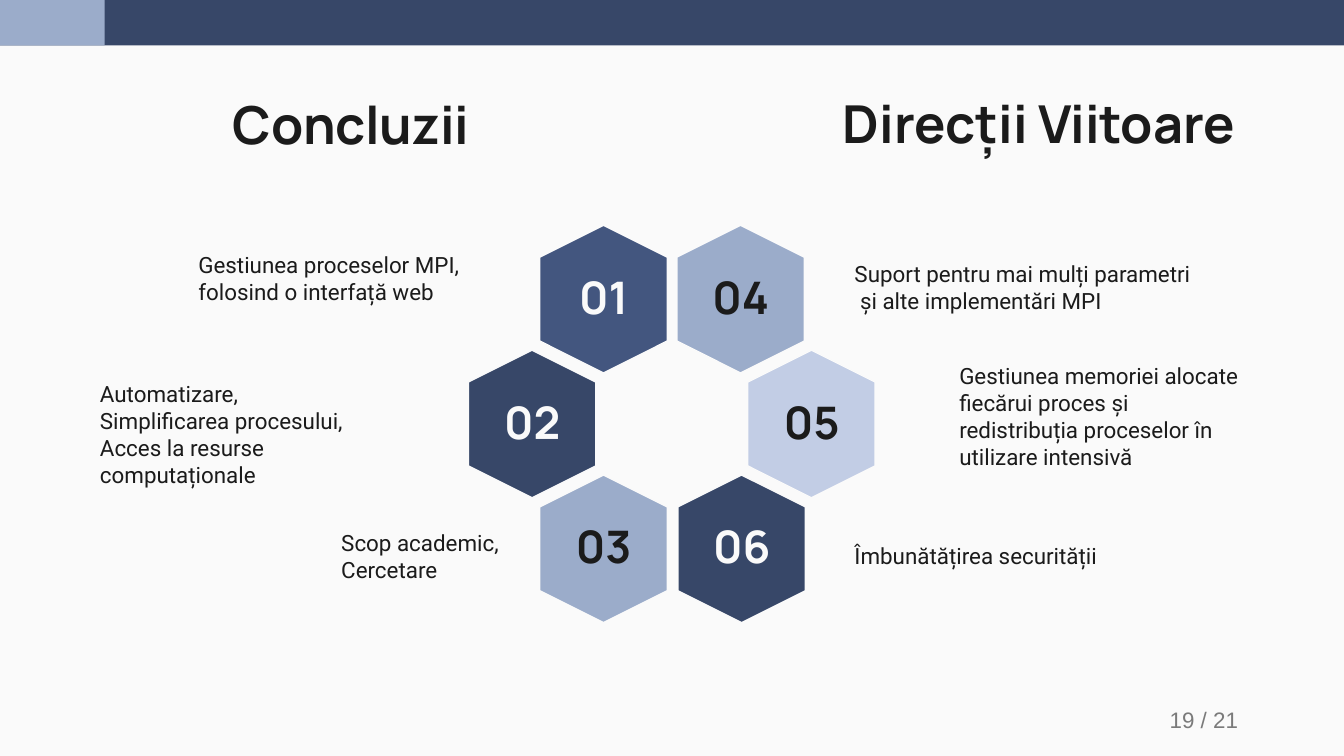
from pptx import Presentation
from pptx.dml.color import RGBColor
from pptx.enum.shapes import MSO_SHAPE as Preset
from pptx.enum.text import MSO_ANCHOR as Anchor, PP_ALIGN as Align
from pptx.util import Cm, Pt

PAPER = RGBColor(0xFA, 0xFA, 0xFA)
INK = RGBColor(0x1B, 0x1B, 0x1B)
GRAY = RGBColor(0x7A, 0x7A, 0x7A)
NAVY = RGBColor(0x37, 0x47, 0x68)
BLUE = RGBColor(0x43, 0x56, 0x7F)
STEEL = RGBColor(0x9B, 0xAC, 0xCA)
PALE = RGBColor(0xC2, 0xCD, 0xE5)

SLIDE_WIDTH, SLIDE_HEIGHT = 25.4, 14.29
BAR_HEIGHT = 0.86
HEXAGON_WIDTH, HEXAGON_HEIGHT = 2.79, 2.41
RING_TOP, RING_STEP = 4.45, 2.36

HEXAGONS = [
    ("01", 10.01, 0, BLUE, PAPER),
    ("02", 8.66, 1, NAVY, PAPER),
    ("03", 10.01, 2, STEEL, INK),
    ("04", 12.6, 0, STEEL, INK),
    ("05", 13.94, 1, PALE, INK),
    ("06", 12.62, 2, NAVY, PAPER),
]

TITLES = [("Concluzii ", 2.01, 1.5), ("Direcții Viitoare ", 15.01, 1.47)]

NOTES = [
    ("Gestiunea proceselor MPI,\nfolosind o interfață web", 3.5, 4.5, 6.5, 1.6),
    ("Automatizare, \vSimplificarea procesului,\nAcces la resurse computaționale",
     1.64, 6.94, 6.5, 2.06),
    ("Scop academic,\nCercetare", 6.2, 9.75, 6.5, 1.6),
    ("Suport pentru mai mulți parametri\v și alte implementări MPI",
     15.9, 4.67, 7.54, 1.6),
    ("Gestiunea memoriei alocate fiecărui proces și \v"
     "redistribuția proceselor în utilizare intensivă", 17.88, 6.6, 6.5, 2.59),
    ("Îmbunătățirea securității", 15.9, 10, 6.5, 1.6),
]


class SlideBuilder:
    heading_font = "Manrope"
    body_font = "Roboto"
    page_font = "Arial"
    inset = Cm(0.25)

    def __init__(self, presentation):
        self.slide = presentation.slides.add_slide(presentation.slide_layouts[6])
        background = self.slide.background.fill
        background.solid()
        background.fore_color.rgb = PAPER

    def shape(self, preset, left, top, width, height, color):
        shape = self.slide.shapes.add_shape(
            preset, Cm(left), Cm(top), Cm(width), Cm(height))
        shape.shadow.inherit = False
        shape.fill.solid()
        shape.fill.fore_color.rgb = color
        shape.line.fill.background()
        return shape

    def text(self, text, left, top, width, height, font, size, color=INK,
             bold=False, align=Align.LEFT, anchor=Anchor.TOP):
        box = self.slide.shapes.add_textbox(
            Cm(left), Cm(top), Cm(width), Cm(height))
        frame = box.text_frame
        frame.word_wrap = True
        frame.vertical_anchor = anchor
        frame.margin_left = frame.margin_right = self.inset
        frame.margin_top = frame.margin_bottom = self.inset
        frame.text = text
        for paragraph in frame.paragraphs:
            paragraph.alignment = align
            for run in paragraph.runs:
                run.font.name = font
                run.font.size = Pt(size)
                run.font.bold = bold
                run.font.color.rgb = color

    def bar(self, width, color):
        self.shape(Preset.RECTANGLE, 0, 0, width, BAR_HEIGHT, color)

    def title(self, text, left, top):
        self.text(text, left, top, 9.45, 1.6, self.heading_font, 28,
                  bold=True, align=Align.CENTER)

    def hexagon(self, left, row, color):
        hexagon = self.shape(Preset.HEXAGON, left, RING_TOP + row * RING_STEP,
                             HEXAGON_WIDTH, HEXAGON_HEIGHT, color)
        hexagon.rotation = 90
        hexagon.line.color.rgb = PAPER
        hexagon.line.width = Pt(0.75)

    def number(self, text, left, row, color):
        self.text(text, left + 0.42, RING_TOP + row * RING_STEP + 0.51, 1.96, 1.4,
                  self.heading_font, 24, color, True, Align.CENTER, Anchor.BOTTOM)

    def note(self, text, left, top, width, height):
        self.text(text, left, top, width, height, self.body_font, 12)

    def page_number(self, text):
        self.text(text, 17.93, 13.23, 5.72, 0.76, self.page_font, 12, GRAY,
                  align=Align.RIGHT, anchor=Anchor.MIDDLE)


def main():
    presentation = Presentation()
    presentation.slide_width = Cm(SLIDE_WIDTH)
    presentation.slide_height = Cm(SLIDE_HEIGHT)
    builder = SlideBuilder(presentation)
    builder.bar(SLIDE_WIDTH, NAVY)
    builder.bar(1.98, STEEL)
    for title in TITLES:
        builder.title(*title)
    for label, left, row, fill, ink in HEXAGONS:
        builder.hexagon(left, row, fill)
        builder.number(label, left, row, ink)
    for note in NOTES:
        builder.note(*note)
    builder.page_number("19 / 21")
    presentation.save("out.pptx")


if __name__ == "__main__":
    main()
